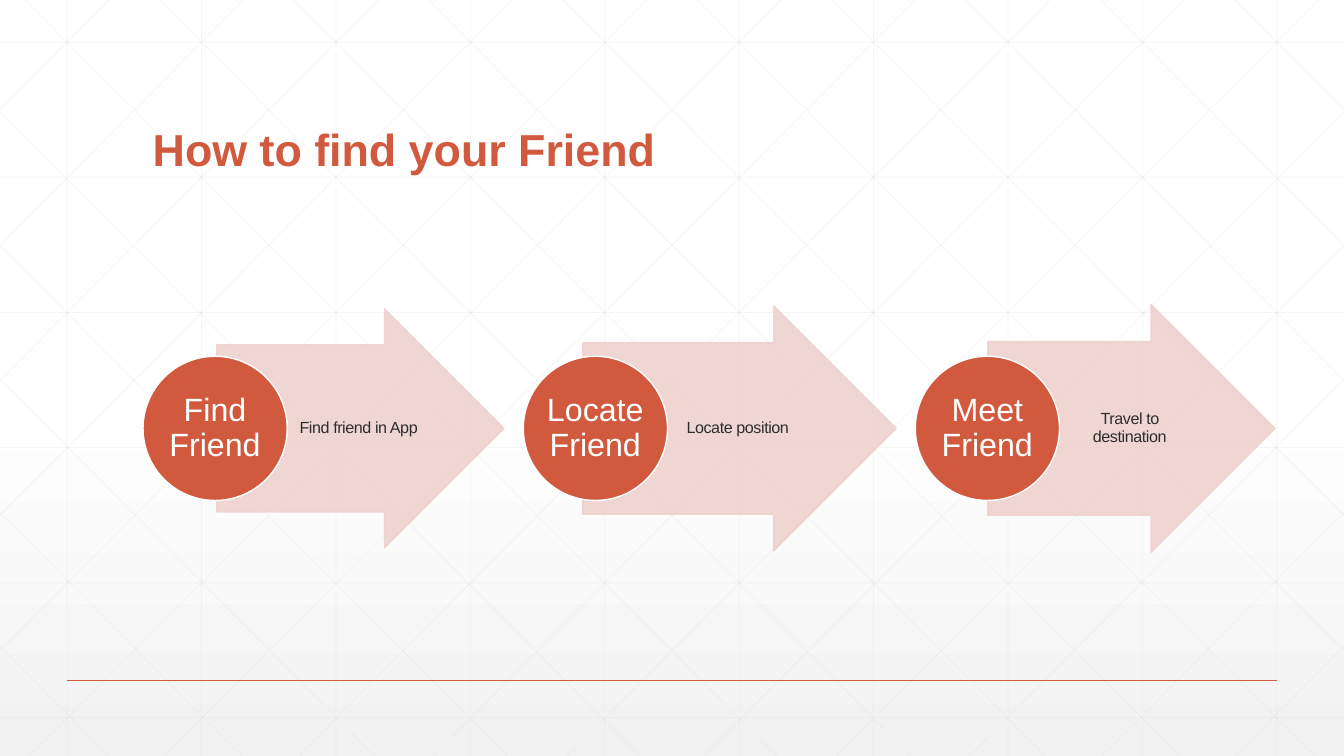
"""Build the "How to find your Friend" slide with three arrow steps."""
import copy

from lxml import etree
from pptx import Presentation, util as u
from pptx.dml import color
from pptx.enum import shapes, text
from pptx.oxml import ns

W, H = 960, 540
RED, PINK, GREY = "D15A3E", "EED2CE", "D9D9D9"


def rgb(value):
    return color.RGBColor.from_string(value)


def fade(element, percent):
    for clr in element.iter(ns.qn("a:srgbClr")):
        etree.SubElement(clr, ns.qn("a:alpha")).set("val", str(percent * 1000))


prs = Presentation()
prs.slide_width, prs.slide_height = u.Pt(W), u.Pt(H)
s = prs.slides.add_slide(prs.slide_layouts[6])

bg = s.background.fill
bg.gradient()
bg.gradient_angle = 270
gs_list = next(s.element.iter(ns.qn("a:gsLst")))
gs_list.insert(1, copy.deepcopy(gs_list[0]))
for stop, position, value in zip(bg.gradient_stops, (0, 0.53, 1), ("FFFFFF", "FFFFFF", "F2F2F2")):
    stop.position = position
    stop.color.rgb = rgb(value)
fade(gs_list[2], 65)

grid = [(48 + 96 * i, 0, 48 + 96 * i, H) for i in range(10)]
grid += [(0, 30.2 + 96.5 * i, W, 30.2 + 96.5 * i) for i in range(6)]
slope = 1.006
starts = [(18 + 96 * i, 0) for i in range(10)] + [(0, 80 + 95.4 * i) for i in range(5)]
for x, y in starts:
    run = min((H - y) / slope, W - x)
    end_x, end_y = x + run, y + run * slope
    grid += [(x, y, end_x, end_y), (W - x, y, W - end_x, end_y)]

lines = [(points, GREY, 0.5, 25) for points in grid]
lines.append(((48, 486, 912, 486), RED, 1, 100))
for points, value, width, opacity in lines:
    cx = s.shapes.add_connector(shapes.MSO_CONNECTOR.STRAIGHT, *[u.Pt(v) for v in points])
    cx.line.color.rgb = rgb(value)
    cx.line.width = u.Pt(width)
    fade(cx.element, opacity)
    etree.SubElement(cx.element.spPr, ns.qn("a:effectLst"))

title = s.shapes.add_textbox(u.Pt(102), u.Pt(39.6), u.Pt(756), u.Pt(90))
texts = [(title, "How to find your Friend", 32, RED, (7.2, 3.6))]

middle, diameter = 306, 103
steps = [
    ("Find Friend", "Find friend in App", 102.2, 154.8, 205.2, 170.6),
    ("Locate Friend", "Locate position", 373.8, 416.2, 224, 175),
    ("Meet Friend", "Travel to destination", 653.8, 705.6, 205.2, 177.2),
]
for name, detail, circle_x, arrow_x, w, h in steps:
    arrow = s.shapes.add_shape(shapes.MSO_SHAPE.RIGHT_ARROW, u.Pt(arrow_x),
                               u.Pt(middle - h / 2), u.Pt(w), u.Pt(h))
    arrow.adjustments[0], arrow.adjustments[1] = 0.7, 0.5
    label = s.shapes.add_textbox(u.Pt(arrow_x + w / 4), u.Pt(middle - 0.35 * h),
                                 u.Pt(w / 2 - 2.5), u.Pt(0.7 * h))
    circle = s.shapes.add_shape(shapes.MSO_SHAPE.OVAL, u.Pt(circle_x),
                                u.Pt(middle - diameter / 2), u.Pt(diameter), u.Pt(diameter))
    for sp, fill, line in ((arrow, PINK, PINK), (circle, RED, "FFFFFF")):
        sp.shadow.inherit = False
        sp.fill.solid()
        sp.fill.fore_color.rgb = rgb(fill)
        sp.line.color.rgb = rgb(line)
        sp.line.width = u.Pt(1)
    fade(arrow.element, 90)
    texts += [(label, detail, 11.5, "2D2E2D", (1.8, 0.7)), (circle, name, 23, "FFFFFF", (1.4, 1.4))]

for sp, wording, size, value, (side, edge) in texts:
    tf = sp.text_frame
    tf.text = wording
    tf.word_wrap = True
    tf.vertical_anchor = text.MSO_ANCHOR.MIDDLE
    tf.margin_left = tf.margin_right = u.Pt(side)
    tf.margin_top = tf.margin_bottom = u.Pt(edge)
    p = tf.paragraphs[0]
    p.alignment = text.PP_ALIGN.CENTER
    p.line_spacing = 0.9
    r = p.runs[0]
    r.font.name = "Arial"
    r.font.size = u.Pt(size)
    r.font.color.rgb = rgb(value)
    if size == 11.5:
        r.font.element.set("spc", "-30") if hasattr(r.font, "element") else r._r.get_or_add_rPr().set("spc", "-30")

title.text_frame.vertical_anchor = text.MSO_ANCHOR.BOTTOM
title.text_frame.paragraphs[0].alignment = text.PP_ALIGN.LEFT
title.text_frame.paragraphs[0].runs[0].font.bold = True

prs.save("out.pptx")
